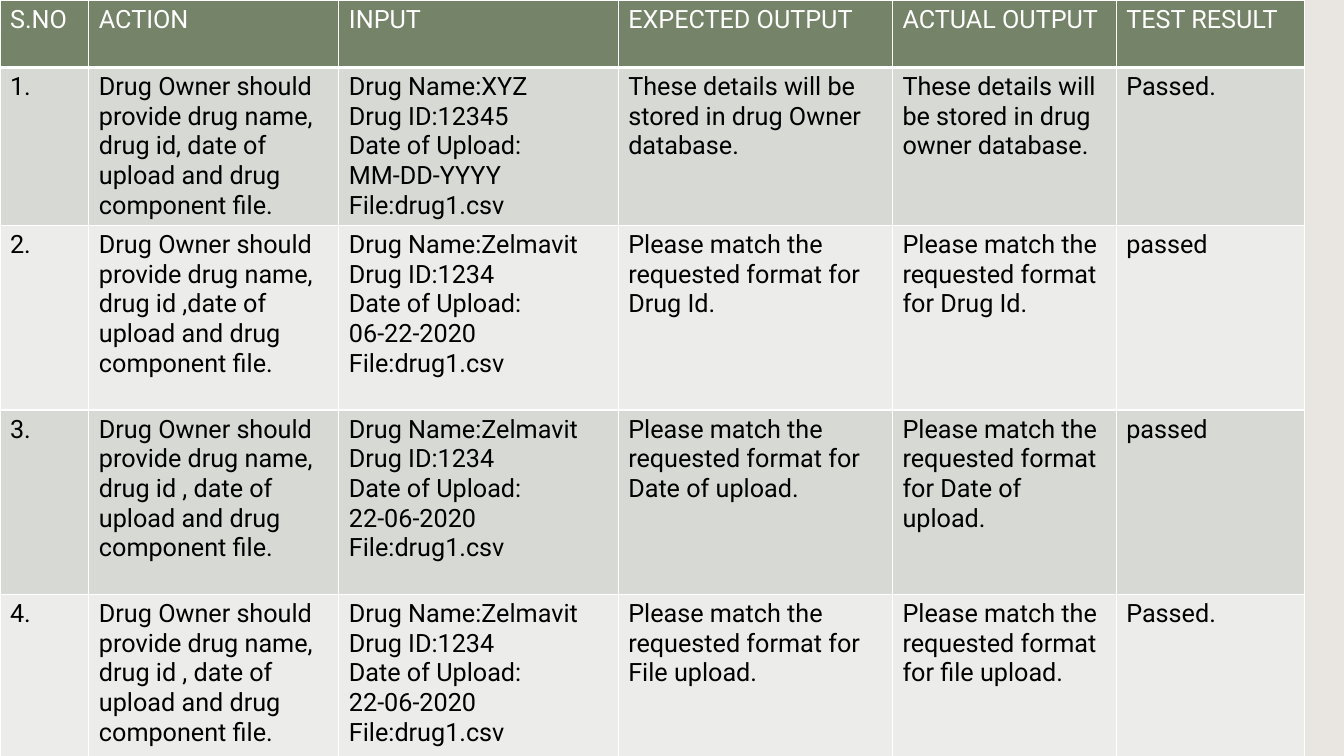
from dataclasses import dataclass

from lxml.etree import SubElement
from pptx import Presentation
from pptx.dml.color import RGBColor
from pptx.enum.shapes import MSO_SHAPE
from pptx.oxml import parse_xml
from pptx.oxml.ns import nsdecls, qn
from pptx.util import Cm, Pt


@dataclass(frozen=True)
class Theme:
    font: str = "Roboto"
    size: int = 18
    backdrop: str = "E0DAD4"
    backdrop_opacity: int = 70
    header: str = "758468"
    header_text: str = "FFFFFF"
    bands: tuple = ("D6D9D4", "ECEDEB")
    text: str = "000000"
    border: str = "FFFFFF"
    thin: int = 1
    thick: int = 3


THEME = Theme()
SLIDE_WIDTH, SLIDE_HEIGHT = Cm(33.87), Cm(19.05)
COLUMN_WIDTHS = (2.24, 6.3, 7.04, 6.91, 5.64, 4.75)
ROW_HEIGHTS = (1.7, 3.91, 4.65, 4.65, 4.65)

HEADINGS = ("S.NO", "ACTION", "INPUT", "EXPECTED OUTPUT", "ACTUAL OUTPUT", "TEST RESULT")
ACTION = "Drug Owner should provide drug name, drug id{}date of upload and drug component file."
INPUT = "Drug Name:{}\nDrug ID:{}\nDate of Upload:\n{}\nFile:drug1.csv"
STORED = "These details will be stored in drug {} database."
MISMATCH = "Please match the requested format for{}"

# One entry per test: action separator, input values, expected, actual, result
TESTS = (
    (", ", ("XYZ", "12345", "MM-DD-YYYY"),
     STORED.format("Owner"), STORED.format("owner"), "Passed."),
    (" ,", ("Zelmavit", "1234", "06-22-2020"),
     MISMATCH.format(" Drug Id."), MISMATCH.format(" Drug Id."), "passed"),
    (" , ", ("Zelmavit", "1234", "22-06-2020"),
     MISMATCH.format(" Date of upload."), MISMATCH.format(" Date of upload."), "passed"),
    (" , ", ("Zelmavit", "1234", "22-06-2020"),
     MISMATCH.format("\nFile upload."), MISMATCH.format(" file upload."), "Passed."),
)


def table_rows():
    rows = [HEADINGS]
    for number, (separator, values, expected, actual, result) in enumerate(TESTS, 1):
        rows.append((f"{number}.", ACTION.format(separator), INPUT.format(*values),
                     expected, actual, result))
    return rows


def add_backdrop(slide):
    shape = slide.shapes.add_shape(MSO_SHAPE.RECTANGLE, 0, 0, SLIDE_WIDTH, SLIDE_HEIGHT)
    shape.shadow.inherit = False
    shape.line.fill.background()
    shape.fill.solid()
    shape.fill.fore_color.rgb = RGBColor.from_string(THEME.backdrop)
    color = shape.fill._xPr.find(f".//{qn('a:srgbClr')}")
    SubElement(color, qn("a:alpha"), val=str(THEME.backdrop_opacity * 1000))


def set_borders(cell, top, bottom):
    """Border lines come before the fill in the cell properties."""
    widths = {"lnL": THEME.thin, "lnR": THEME.thin, "lnT": top, "lnB": bottom}
    properties = cell._tc.get_or_add_tcPr()
    for position, (side, width) in enumerate(widths.items()):
        properties.insert(position, parse_xml(
            f'<a:{side} {nsdecls("a")} w="{Pt(width)}"><a:solidFill>'
            f'<a:srgbClr val="{THEME.border}"/></a:solidFill></a:{side}>'))


def write_cell(cell, text, fill, color):
    cell.fill.solid()
    cell.fill.fore_color.rgb = RGBColor.from_string(fill)
    frame = cell.text_frame
    for index, line in enumerate(text.split("\n")):
        paragraph = frame.add_paragraph() if index else frame.paragraphs[0]
        run = paragraph.add_run()
        run.text = line
        run.font.name = THEME.font
        run.font.size = Pt(THEME.size)
        run.font.bold = False
        run.font.color.rgb = RGBColor.from_string(color)


def add_test_table(slide, rows):
    table = slide.shapes.add_table(
        len(rows), len(HEADINGS), 0, 0,
        Cm(sum(COLUMN_WIDTHS)), Cm(sum(ROW_HEIGHTS))).table
    for column, width in zip(table.columns, COLUMN_WIDTHS):
        column.width = Cm(width)
    for row, height in zip(table.rows, ROW_HEIGHTS):
        row.height = Cm(height)
    for row_index, row in enumerate(rows):
        is_header = row_index == 0
        fill = THEME.header if is_header else THEME.bands[(row_index - 1) % 2]
        color = THEME.header_text if is_header else THEME.text
        top = THEME.thick if row_index == 1 else THEME.thin
        bottom = THEME.thick if is_header else THEME.thin
        for column_index, text in enumerate(row):
            cell = table.cell(row_index, column_index)
            write_cell(cell, text, fill, color)
            set_borders(cell, top, bottom)


def main():
    presentation = Presentation()
    presentation.slide_width, presentation.slide_height = SLIDE_WIDTH, SLIDE_HEIGHT
    slide = presentation.slides.add_slide(presentation.slide_layouts[6])

    # Tinted backdrop
    add_backdrop(slide)

    # Test cases
    add_test_table(slide, table_rows())

    presentation.save("out.pptx")


if __name__ == "__main__":
    main()
